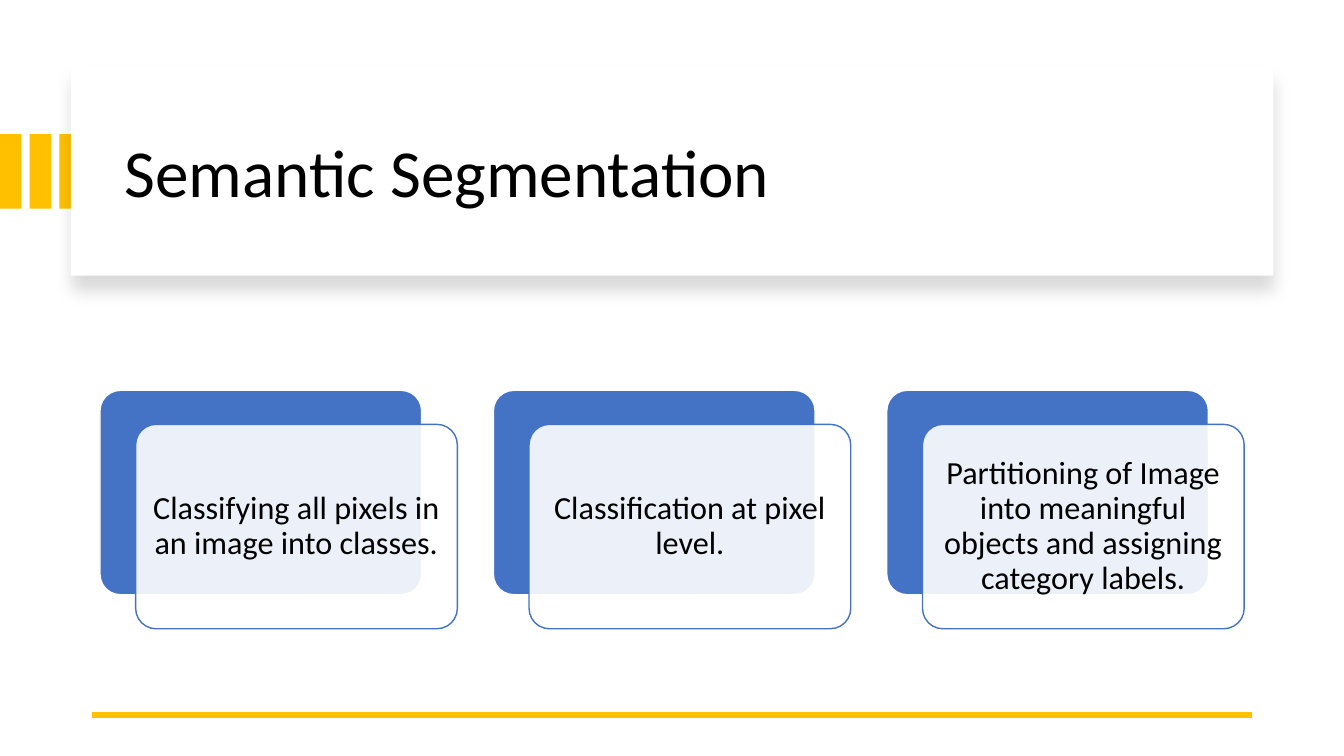
"""Build the Semantic Segmentation slide."""
from dataclasses import dataclass

from lxml import etree
from pptx import Presentation
from pptx.dml.color import RGBColor
from pptx.enum.shapes import MSO_CONNECTOR, MSO_SHAPE
from pptx.enum.text import MSO_ANCHOR, PP_ALIGN
from pptx.oxml.ns import qn
from pptx.util import Pt

RECTANGLE = MSO_SHAPE.RECTANGLE
ROUNDED = MSO_SHAPE.ROUNDED_RECTANGLE
STRAIGHT = MSO_CONNECTOR.STRAIGHT
MIDDLE = MSO_ANCHOR.MIDDLE
LEFT, CENTER = PP_ALIGN.LEFT, PP_ALIGN.CENTER

GOLD, BLUE, WHITE, BLACK = "FFC000", "4472C4", "FFFFFF", "000000"
FONT = "Calibri"
STRIPE_COUNT, STRIPE_PITCH = 3, 21.25
CARD_LEFT, CARD_TOP, CARD_PITCH = 71.4, 278.8, 281
CARD_WIDTH, CARD_HEIGHT = 229.8, 146
FRONT_RIGHT, FRONT_DOWN = 25.5, 24.3
CARD_TEXTS = (
    "Classifying all pixels in an image into classes.",
    "Classification at pixel level.",
    "Partitioning of Image into meaningful objects and assigning category labels.",
)


@dataclass(frozen=True)
class Area:
    """A rectangle on the page, in points."""

    left: float
    top: float
    width: float
    height: float

    def lengths(self) -> tuple:
        """Return the four lengths for python-pptx."""
        return Pt(self.left), Pt(self.top), Pt(self.width), Pt(self.height)


def color(value: str) -> RGBColor:
    """Turn a hex string into a colour."""
    return RGBColor.from_string(value)


def add_block(page, kind, area: Area, fill: str, line: str | None = None):
    """Add a filled shape with an optional thin outline."""
    block = page.shapes.add_shape(kind, *area.lengths())
    block.shadow.inherit = False
    block.fill.solid()
    block.fill.fore_color.rgb = color(fill)
    if line:
        block.line.color.rgb = color(line)
        block.line.width = Pt(1)
    else:
        block.line.fill.background()
    return block


def add_card_shape(page, area: Area, fill: str, line: str):
    """Add a rounded card."""
    card = add_block(page, ROUNDED, area, fill, line)
    card.adjustments[0] = 0.1
    return card


def write(box, text: str, *, size: float, align, margin: float, side: float) -> None:
    """Write one vertically centred paragraph into a box."""
    frame = box.text_frame
    frame.word_wrap = True
    frame.vertical_anchor = MIDDLE
    frame.margin_top = frame.margin_bottom = Pt(margin)
    frame.margin_left = frame.margin_right = Pt(side)
    para = frame.paragraphs[0]
    para.alignment = align
    para.line_spacing = 0.9
    span = para.add_run()
    span.text = text
    span.font.name = FONT
    span.font.size = Pt(size)
    span.font.color.rgb = color(BLACK)


def set_alpha(color_element, percent: int) -> None:
    """Set the opacity of a colour element."""
    etree.SubElement(color_element, qn("a:alpha")).set("val", str(percent * 1000))


def add_drop_shadow(block) -> None:
    """Give a block a soft shadow that falls downwards."""
    effects = block._element.spPr.find(qn("a:effectLst"))
    shadow = etree.SubElement(effects, qn("a:outerShdw"))
    shadow.set("blurRad", str(Pt(11)))
    shadow.set("dist", str(Pt(10)))
    shadow.set("dir", "5400000")
    shade = etree.SubElement(shadow, qn("a:srgbClr"))
    shade.set("val", BLACK)
    set_alpha(shade, 15)


def add_header(page) -> None:
    """Add the gold stripes, the white panel and the title."""
    for index in range(STRIPE_COUNT):
        add_block(page, RECTANGLE, Area(index * STRIPE_PITCH, 95.8, 15.3, 53.3), GOLD)
    panel = add_block(page, RECTANGLE, Area(50.6, 48, 859, 149), WHITE)
    add_drop_shadow(panel)
    title = page.shapes.add_textbox(*Area(82, 64, 801.4, 122.4).lengths())
    write(title, "Semantic Segmentation", size=48, align=LEFT, margin=3.6, side=7.2)


def add_rule(page) -> None:
    """Add the gold rule at the foot of the page."""
    rule = page.shapes.add_connector(STRAIGHT, Pt(894.2), Pt(510.5), Pt(66), Pt(510.5))
    rule.line.color.rgb = color(GOLD)
    rule.line.width = Pt(4.5)
    etree.SubElement(rule._element.spPr, qn("a:effectLst"))


def add_card(page, left: float, text: str) -> None:
    """Add a blue card with a translucent text card in front."""
    back = Area(left, CARD_TOP, CARD_WIDTH, CARD_HEIGHT)
    add_card_shape(page, back, BLUE, WHITE)
    place = Area(left + FRONT_RIGHT, CARD_TOP + FRONT_DOWN, CARD_WIDTH, CARD_HEIGHT)
    front = add_card_shape(page, place, WHITE, BLUE)
    set_alpha(front._element.spPr.find(qn("a:solidFill"))[0], 90)
    write(front, text, size=23, align=CENTER, margin=7.2, side=7.2)


def main() -> None:
    """Build and save the deck."""
    deck = Presentation()
    deck.slide_width, deck.slide_height = Pt(960), Pt(540)
    page = deck.slides.add_slide(deck.slide_layouts[6])
    add_header(page)
    add_rule(page)
    for index, text in enumerate(CARD_TEXTS):
        add_card(page, CARD_LEFT + index * CARD_PITCH, text)
    deck.save("out.pptx")


if __name__ == "__main__":
    main()
